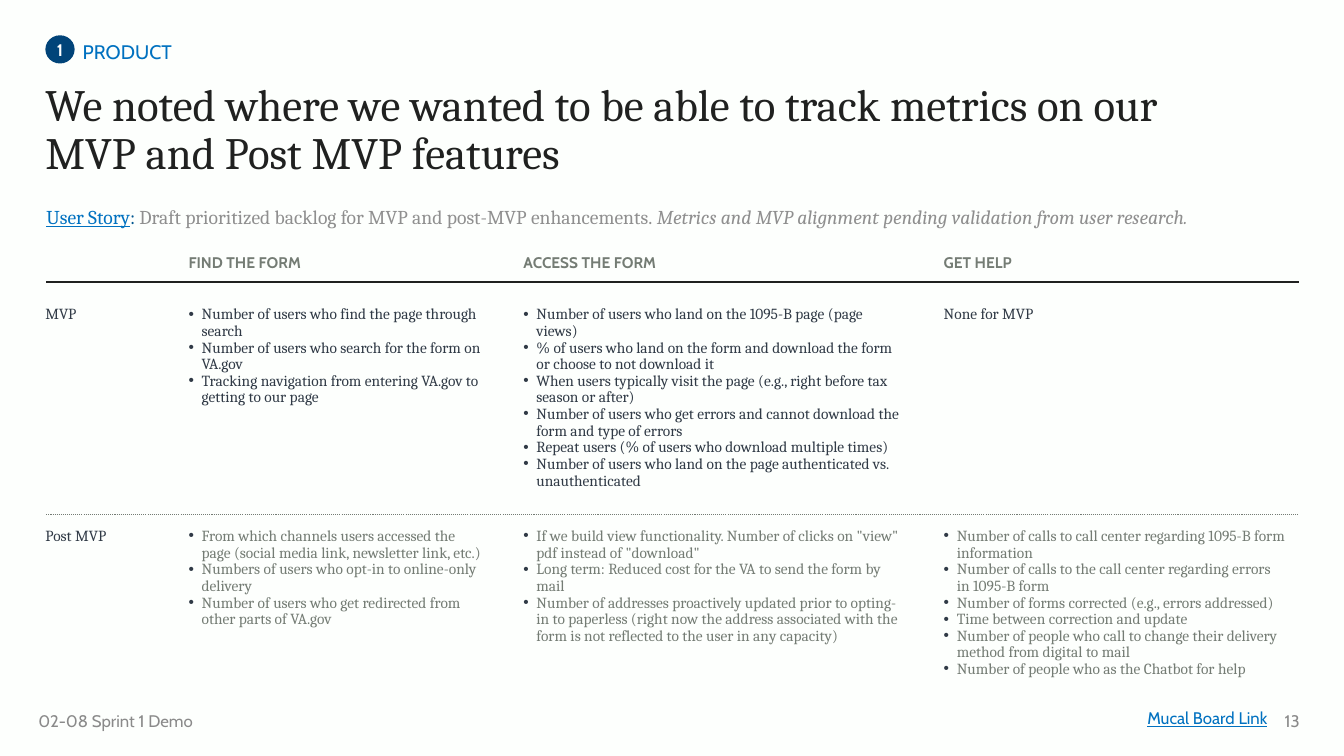
from lxml.etree import SubElement
from pptx import Presentation
from pptx.dml.color import RGBColor
from pptx.enum.dml import MSO_LINE
from pptx.enum.shapes import MSO_CONNECTOR, MSO_SHAPE
from pptx.enum.text import MSO_ANCHOR, MSO_AUTO_SIZE, PP_ALIGN
from pptx.oxml.ns import qn
from pptx.util import Inches, Pt

COLORS = {
    "paper": "FDFFFD", "ink": "202120", "body": "303A46", "muted": "747C74",
    "footer": "8A8A8A", "story": "8F8F8F", "navy": "014479", "blue": "0071C0",
    "colon": "00558F", "white": "FFFFFF",
}

# Grid: (left, width) of columns, top of rows, height of one text line
COLS = {"label": (0.45, 0.93), "find": (1.87, 2.93),
        "access": (5.19, 3.78), "help": (9.36, 3.39)}
ROWS = {"head": 2.53, "mvp": 3.04, "post": 5.24}
LINE_H = 1 / 6
INDENT = 0.13

# Text formats
CELL = {"name": "Cambria", "size": 11, "color": "body"}
MUTED = {**CELL, "color": "muted"}
HEAD = {"name": "Cabin", "size": 11, "color": "muted", "bold": True}
FOOT = {"name": "Cabin", "size": 12, "color": "footer"}
LINK = {**FOOT, "color": "blue", "underline": True}
BADGE = {"name": "Cabin", "size": 12, "color": "white", "bold": True}
SECTION = {"name": "Cabin", "size": 14, "color": "blue"}
TITLE = {"name": "Cambria", "size": 32, "color": "ink"}
STORY = {"name": "Cambria", "size": 14, "color": "story"}

HEADS = {"find": "FIND THE FORM", "access": "ACCESS THE FORM", "help": "GET HELP"}
LABELS = {"mvp": "MVP", "post": "Post MVP"}

# (row, column, format, lines, items)
LISTS = [
    ("mvp", "find", CELL, 6, [
        "Number of users who find the page through search",
        "Number of users who search for the form on VA.gov",
        "Tracking navigation from entering VA.gov to getting to our page"]),
    ("mvp", "access", CELL, 12, [
        "Number of users who land on the 1095-B page (page views)",
        "% of users who land on the form and download the form or choose to not download it",
        "When users typically visit the page (e.g., right before tax season or after)",
        "Number of users who get errors and cannot download the form and type of errors",
        "Repeat users (% of users who download multiple times)",
        "Number of users who land on the page authenticated vs. unauthenticated"]),
    ("post", "find", MUTED, 7, [
        "From which channels users accessed the page (social media link, newsletter link, etc.)",
        "Numbers of users who opt-in to online-only delivery",
        "Number of users who get redirected from other parts of VA.gov"]),
    ("post", "access", MUTED, 8, [
        'If we build view functionality. Number of clicks on "view" pdf instead of "download"',
        "Long term: Reduced cost for the VA to send the form by mail",
        "Number of addresses proactively updated prior to opting-in to paperless (right now "
        "the address associated with the form is not reflected to the user in any capacity)"]),
    ("post", "help", MUTED, 10, [
        "Number of calls to call center regarding 1095-B form information",
        "Number of calls to the call center regarding errors in 1095-B form",
        "Number of forms corrected (e.g., errors addressed)",
        "Time between correction and update",
        "Number of people who call to change their delivery method from digital to mail",
        "Number of people who as the Chatbot for help"]),
]


def rgb(name):
    return RGBColor.from_string(COLORS[name])


def add_run(p, text, fmt):
    r = p.add_run()
    r.text = text
    for key, value in fmt.items():
        if key == "color":
            r.font.color.rgb = rgb(value)
        else:
            setattr(r.font, key, Pt(value) if key == "size" else value)


def add_bullet(p):
    pPr = p._p.get_or_add_pPr()
    pPr.set("marL", str(Inches(INDENT)))
    pPr.set("indent", str(Inches(-INDENT)))
    color = SubElement(pPr, qn("a:buClr"))
    SubElement(color, qn("a:srgbClr"), val=COLORS["body"])
    SubElement(pPr, qn("a:buFont"), typeface="Arial")
    SubElement(pPr, qn("a:buChar"), char="•")


def write(sp, paras, insets=(0, 0, 0, 0), anchor=MSO_ANCHOR.TOP, fit=False,
          align=PP_ALIGN.LEFT, spacing=0.9, bullets=False):
    """Each paragraph is a list of (text, format) runs."""
    tf = sp.text_frame
    settings = {"word_wrap": True, "vertical_anchor": anchor,
                "auto_size": MSO_AUTO_SIZE.SHAPE_TO_FIT_TEXT if fit else MSO_AUTO_SIZE.NONE}
    sides = ("margin_left", "margin_top", "margin_right", "margin_bottom")
    settings.update(zip(sides, map(Inches, insets)))
    for key, value in settings.items():
        setattr(tf, key, value)
    for i, runs in enumerate(paras):
        p = tf.add_paragraph() if i else tf.paragraphs[0]
        if bullets:
            add_bullet(p)
        for key, value in {"alignment": align, "line_spacing": spacing,
                           "space_before": Pt(0), "space_after": Pt(0)}.items():
            setattr(p, key, value)
        for text, fmt in runs:
            add_run(p, text, fmt)


def place(sp, at):
    for key, value in zip(("left", "top", "width", "height"), at):
        setattr(sp, key, Inches(value))


def add_text(slide, at, text, fmt, **layout):
    sp = slide.shapes.add_textbox(*map(Inches, at))
    write(sp, [[(text, fmt)]], **layout)


def cell_at(row, col, lines=1):
    left, width = COLS[col]
    return left, ROWS[row], width, lines * LINE_H


def add_list(slide, holder, at, items, fmt):
    sp = holder or slide.shapes.add_textbox(*map(Inches, at))
    place(sp, at)
    write(sp, [[(item, {**fmt, "bold": False})] for item in items], fit=True, bullets=True)


def add_rule(slide, y, color, width, dash=None):
    line = slide.shapes.add_connector(
        MSO_CONNECTOR.STRAIGHT, Inches(0.46), Inches(y), Inches(12.88), Inches(y))
    line.line.color.rgb = rgb(color)
    line.line.width = Pt(width)
    if dash:
        line.line.dash_style = dash
    SubElement(line._element.spPr, qn("a:effectLst"))


def add_badge(slide, at, text):
    sp = slide.shapes.add_shape(MSO_SHAPE.OVAL, *map(Inches, at))
    sp.shadow.inherit = False
    sp.fill.solid()
    sp.fill.fore_color.rgb = rgb("navy")
    sp.line.fill.background()
    write(sp, [[(text, BADGE)]], anchor=MSO_ANCHOR.MIDDLE, align=PP_ALIGN.CENTER, spacing=1.0)


def main():
    prs = Presentation()
    prs.slide_width, prs.slide_height = Inches(13.33), Inches(7.5)
    slide = prs.slides.add_slide(prs.slide_layouts.get_by_name("Comparison"))
    slide.background.fill.solid()
    slide.background.fill.fore_color.rgb = rgb("paper")

    # Section marker, title and user story
    add_badge(slide, (0.45, 0.35, 0.29, 0.28), "1")
    add_text(slide, (0.82, 0.35, 5.28, 0.4), "PRODUCT", SECTION,
             insets=(0, 0.05, 0, 0.05), spacing=1.0)
    title = slide.shapes.title
    place(title, (0.45, 0.82, 11.11, 1.11))
    write(title, [[("We noted where we wanted to be able to track metrics on our "
                    "MVP and Post MVP features", TITLE)]])
    story = slide.shapes.add_textbox(*map(Inches, (0.46, 2, 12.42, 0.27)))
    write(story, [[
        ("User Story", {**STORY, "color": "blue", "underline": True}),
        (": ", {**STORY, "color": "colon"}),
        ("Draft prioritized backlog for MVP and post-MVP enhancements. ", STORY),
        ("Metrics and MVP alignment pending validation from user research.",
         {**STORY, "italic": True})]], fit=True, spacing=1.15)

    # Column heads and row labels
    for col, text in HEADS.items():
        add_text(slide, cell_at("head", col), text, HEAD, anchor=MSO_ANCHOR.MIDDLE, fit=True)
    for row, text in LABELS.items():
        add_text(slide, cell_at(row, "label"), text, CELL, fit=True)
    add_rule(slide, 2.8, "ink", 1.5)
    add_rule(slide, 5.1, "muted", 0.75, MSO_LINE.ROUND_DOT)

    # Metric lists: body placeholders first, then a text box
    holders = iter([ph for ph in slide.placeholders if ph.placeholder_format.idx > 0])
    for row, col, fmt, lines, items in LISTS:
        add_list(slide, next(holders, None), cell_at(row, col, lines), items, fmt)
    add_text(slide, cell_at("mvp", "help"), "None for MVP", CELL, fit=True)

    # Footer
    middle = {"anchor": MSO_ANCHOR.MIDDLE, "spacing": 1.0}
    add_text(slide, (0.33, 6.95, 1.8, 0.4), "02-08 Sprint 1 Demo", FOOT,
             insets=(0.05, 0.05, 0.1, 0.05), **middle)
    add_text(slide, (9.67, 6.97, 3, 0.3), "Mucal Board Link", LINK, fit=True,
             insets=(0.1, 0.05, 0.1, 0.05), align=PP_ALIGN.RIGHT, spacing=1.0)
    add_text(slide, (12.55, 6.95, 0.44, 0.4), "13", FOOT,
             insets=(0.1, 0.05, 0.1, 0.05), align=PP_ALIGN.RIGHT, **middle)

    prs.save("out.pptx")


if __name__ == "__main__":
    main()
